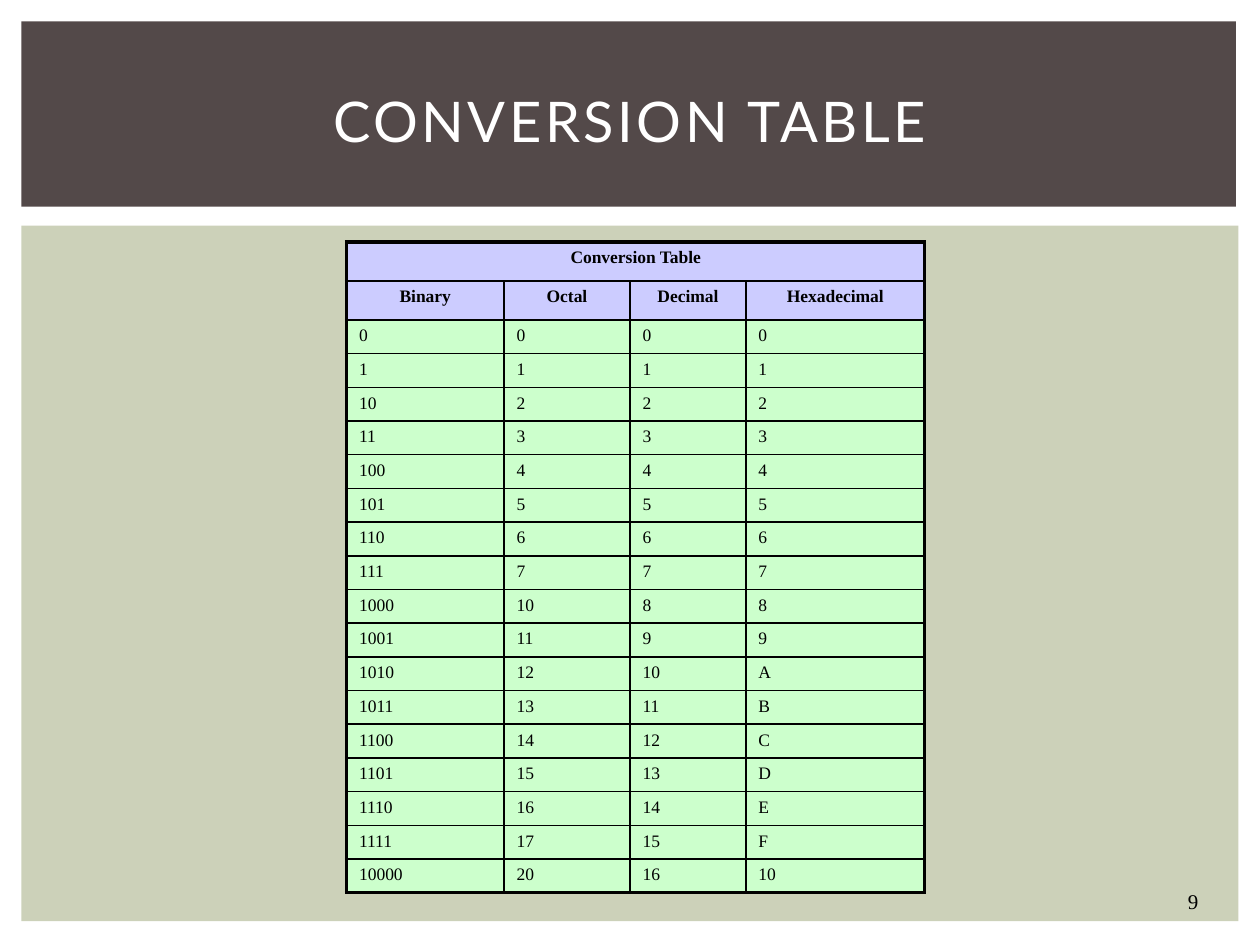
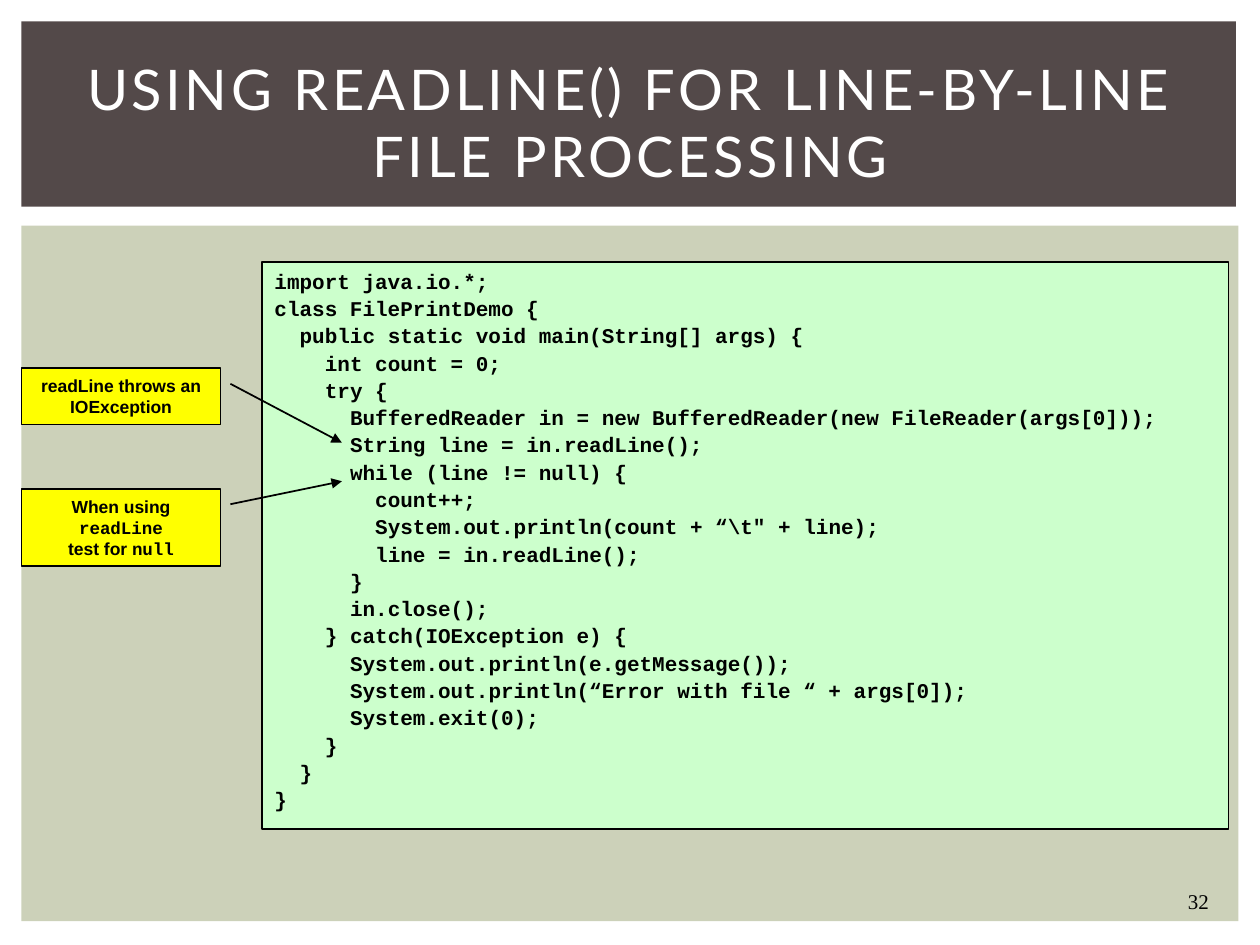
import lxml.etree
import pptx
import pptx.dml.color
import pptx.enum.shapes
import pptx.enum.text
import pptx.oxml.ns
import pptx.util

Inches, Pt = pptx.util.Inches, pptx.util.Pt
SHAPE = pptx.enum.shapes.MSO_SHAPE
ALIGN = pptx.enum.text.PP_ALIGN
ANCHOR = pptx.enum.text.MSO_ANCHOR

COLORS = {
    "panel": "CCD1B9", "band": "534949", "white": "FFFFFF", "black": "000000",
    "header": "CCCCFF", "green": "CCFFCC", "yellow": "FFFF00",
}
TITLE = {"name": "Lato", "size": Pt(32)}
NUMBER = {"name": "Times New Roman", "size": Pt(12)}
BODY = {"name": "Times New Roman", "size": Pt(10), "bold": False}
HEADER = {**BODY, "bold": True}
CODE = {"name": "Courier New", "size": Pt(12), "bold": True}
NOTE = {"name": "Arial", "size": Pt(10), "bold": True}
NOTE_CODE = {**NOTE, "name": "Courier New"}

LISTING = r"""import java.io.*;
class FilePrintDemo {
  public static void main(String[] args) {
    int count = 0;
    try {
      BufferedReader in = new BufferedReader(new FileReader(args[0]));
      String line = in.readLine();
      while (line != null) {
        count++;
        System.out.println(count + “\t" + line);
        line = in.readLine();
      }
      in.close();
    } catch(IOException e) {
      System.out.println(e.getMessage());
      System.out.println(“Error with file “ + args[0]);
      System.exit(0);
    }
  }
}"""


def rgb(color):
    return pptx.dml.color.RGBColor.from_string(COLORS[color])


def add_xml(parent, tag, **attributes):
    return lxml.etree.SubElement(parent, pptx.oxml.ns.qn(tag), attributes)


class Deck:
    """Holds the style and the current slide, with a method for each kind of element."""

    def __init__(self):
        self.prs = pptx.Presentation()
        self.prs.slide_width, self.prs.slide_height = Inches(10), Inches(7.5)
        self.s = None

    def slide(self, title, number, title_box):
        self.s = self.prs.slides.add_slide(self.prs.slide_layouts[6])
        self.shape(SHAPE.RECTANGLE, (0.17, 1.79, 9.66, 5.52), "panel")
        self.shape(SHAPE.RECTANGLE, (0.17, 0.17, 9.64, 1.47), "band")
        self.text(self.textbox((9.33, 7, 0.42, 0.3)), [[(number, NUMBER)]])
        tf = self.textbox(title_box)
        tf.vertical_anchor = ANCHOR.MIDDLE
        self.text(tf, [[(title, TITLE)]], "white", alignment=ALIGN.CENTER)
        tf.paragraphs[0].runs[0].font._element.set("spc", "200")

    def textbox(self, box):
        tf = self.s.shapes.add_textbox(*map(Inches, box)).text_frame
        tf.word_wrap = True
        return tf

    def shape(self, kind, box, fill, line=None):
        sp = self.s.shapes.add_shape(kind, *map(Inches, box))
        sp.shadow.inherit = False
        sp.fill.solid()
        sp.fill.fore_color.rgb = rgb(fill)
        if line:
            sp.line.color.rgb = rgb(line)
            sp.line.width = Pt(1)
        else:
            sp.line.fill.background()
        return sp

    def text(self, tf, paragraphs, color="black", **layout):
        for i, runs in enumerate(paragraphs):
            p = tf.add_paragraph() if i else tf.paragraphs[0]
            for key, value in layout.items():
                setattr(p, key, value)
            for content, style in runs:
                r = p.add_run()
                r.text = content
                r.font.color.rgb = rgb(color)
                for key, value in style.items():
                    setattr(r.font, key, value)

    def code(self, box, listing):
        tf = self.shape(SHAPE.RECTANGLE, box, "green", "black").text_frame
        tf.vertical_anchor = ANCHOR.TOP
        lines = listing.splitlines()
        self.text(tf, [[(line.lstrip(), CODE)] for line in lines],
                  alignment=ALIGN.LEFT, space_before=Pt(1.2))
        for p, line in zip(tf.paragraphs, lines):
            spaces = len(line) - len(line.lstrip())
            p._p.get_or_add_pPr().set("marL", str(Inches(0.1 * spaces)))

    def callout(self, box, pointer, paragraphs):
        sp = self.shape(SHAPE.LINE_CALLOUT_1, box, "yellow", "black")
        for i, value in enumerate(pointer):
            sp.adjustments[i] = value
        add_xml(sp.line._get_or_add_ln(), "a:tailEnd", type="triangle")
        sp.text_frame.vertical_anchor = ANCHOR.MIDDLE
        self.text(sp.text_frame, paragraphs, alignment=ALIGN.CENTER)

    def borders(self, cell, widths):
        tcPr = cell._tc.get_or_add_tcPr()
        for side, width in widths.items():
            ln = add_xml(tcPr, f"a:ln{side}", w=str(Pt(width)))
            add_xml(add_xml(ln, "a:solidFill"), "a:srgbClr", val=COLORS["black"])

    def table(self, box, widths, heading, rows):
        last_row, last_col = len(rows), len(widths) - 1
        table = self.s.shapes.add_table(last_row + 1, last_col + 1,
                                        *map(Inches, box)).table
        table.first_row = table.horz_banding = False
        for column, width in zip(table.columns, widths):
            column.width = Inches(width)
        header_height = 0.31
        body_height = (box[3] - 2 * header_height) / (last_row - 1)
        for i, row in enumerate(table.rows):
            row.height = Inches(header_height if i < 2 else body_height)
        table.cell(0, 0).merge(table.cell(0, last_col))
        grid = [[heading] + [""] * last_col, *rows]
        for i, values in enumerate(grid):
            for j, value in enumerate(values):
                cell = table.cell(i, j)
                outer = {"L": j == 0, "R": j == last_col or i == 0,
                         "T": i == 0, "B": i == last_row}
                self.borders(cell, {side: 2.25 if edge else 1
                                    for side, edge in outer.items()})
                cell.fill.solid()
                cell.fill.fore_color.rgb = rgb("header" if i < 2 else "green")
                if value:
                    self.text(cell.text_frame, [[(value, HEADER if i < 2 else BODY)]],
                              alignment=ALIGN.CENTER if i < 2 else ALIGN.LEFT)


def main():
    deck = Deck()

    deck.slide("CONVERSION TABLE", "9", (0.75, 0.33, 8.5, 1.25))
    numbers = [[f"{n:b}", f"{n:o}", f"{n}", f"{n:X}"] for n in range(17)]
    deck.table((2.75, 1.92, 4.59, 5.14), (1.25, 1, 0.92, 1.42), "Conversion Table",
               [["Binary", "Octal", "Decimal", "Hexadecimal"], *numbers])

    deck.slide("USING READLINE() FOR LINE-BY-LINE FILE PROCESSING", "32",
               (0.42, 0.39, 9.17, 1.15))
    deck.code((2.08, 2.08, 7.67, 4.5), LISTING)
    deck.callout((0.17, 3.88, 1.58, 0.61), (0.2, 1.05, -0.1, 1.61),
                 [[("When using ", NOTE), ("readLine", NOTE_CODE)],
                  [("test for ", NOTE), ("null", NOTE_CODE)]])
    deck.callout((0.17, 2.92, 1.58, 0.45), (0.28, 1.05, 1.32, 1.61),
                 [[("readLine throws an IOException", NOTE)]])

    deck.prs.save("out.pptx")


if __name__ == "__main__":
    main()
